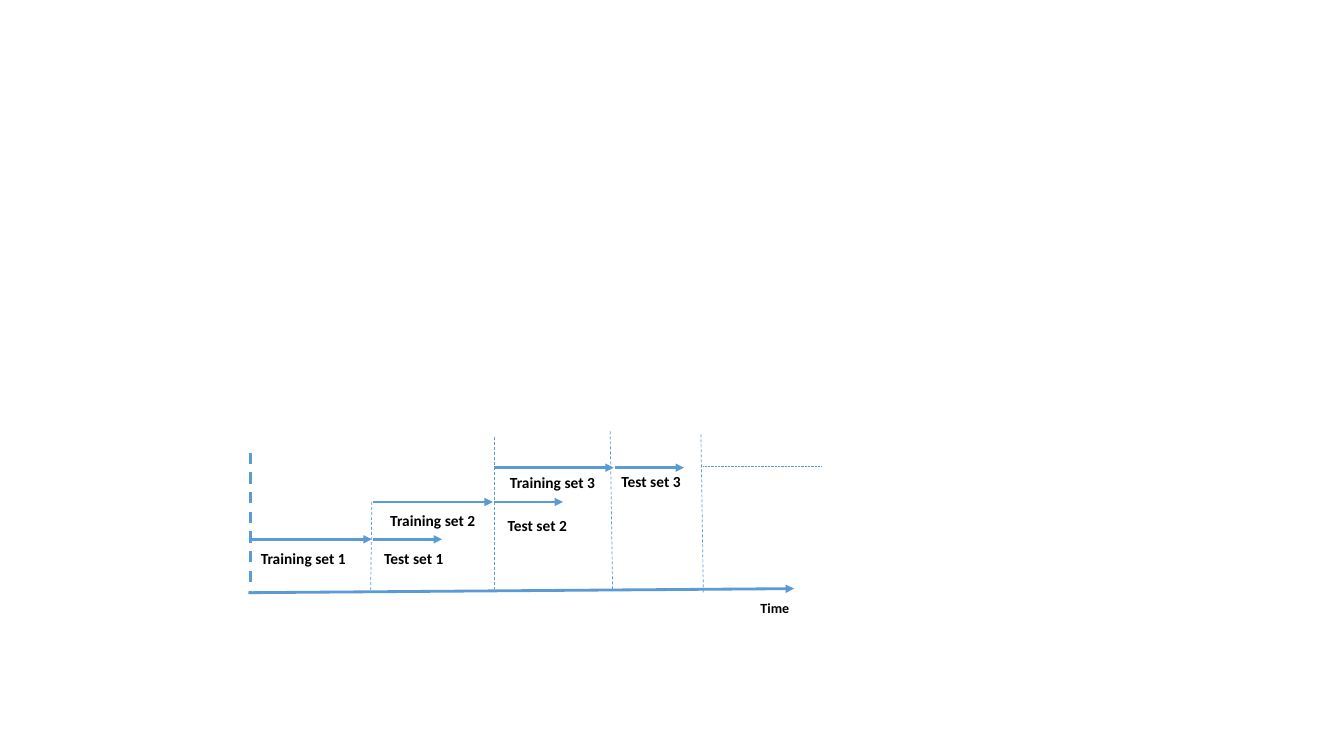
from pptx import Presentation
from pptx.dml.color import RGBColor
from pptx.enum.dml import MSO_LINE
from pptx.enum.shapes import MSO_CONNECTOR
from pptx.enum.text import MSO_AUTO_SIZE
from pptx.oxml.ns import qn
from pptx.util import Inches, Pt
from lxml.etree import SubElement

HUES = {"line": "5B9BD5", "text": "000000"}
FONT = "Calibri"
COL, ROW = 1.2, 0.1  # one training span, one fine row, in inches

# Row of the arrows, then (column, row) shift of each label
FOLDS = [
    (10.7, (-0.01, 0.5), (0.01, 0.5), 0.88),
    (7, (0.06, 0.4), (0.03, 0.9), 0.93),
    (3.6, (0.05, 0), (-0.03, -0.1), 0.88),
]
# Start, end and width of each dashed marker
MARKS = [
    ((-0.01, 2.1), (-0.01, 16), 0),
    ((0.99, 7), (0.98, 16), 0.5),
    ((2, 0.6), (2, 15.6), 0.5),
    ((2.96, 0), (2.98, 15.7), 0.5),
    ((3.71, 0.3), (3.73, 16), 0.5),
]


def place(box, col, row):
    return Inches(box[0] + col * COL), Inches(box[1] + row * ROW)


def draw_line(slide, box, start, end, width=2, dash=None):
    line = slide.shapes.add_connector(
        MSO_CONNECTOR.STRAIGHT, *place(box, *start), *place(box, *end))
    line.line.color.rgb = RGBColor.from_string(HUES["line"])
    line.line.width = Pt(width)
    props = line._element.spPr
    if dash:
        line.line.dash_style = dash
    else:
        SubElement(props.find(qn("a:ln")), qn("a:tailEnd"), type="triangle")
    SubElement(props, qn("a:effectLst"))


def add_label(slide, box, spot, text, width, size=11, height=0.29):
    label = slide.shapes.add_textbox(
        *place(box, *spot), Inches(width), Inches(height))
    frame = label.text_frame
    frame.word_wrap = True
    frame.auto_size = MSO_AUTO_SIZE.SHAPE_TO_FIT_TEXT
    run = frame.paragraphs[0].add_run()
    run.text = text
    run.font.name = FONT
    run.font.size = Pt(size)
    run.font.bold = True
    run.font.color.rgb = RGBColor.from_string(HUES["text"])


def draw_axis(slide, box):
    draw_line(slide, box, (-0.03, 16), (4.48, 15.6))
    add_label(slide, box, (4.12, 16.2), "Time", 0.88, 10, 0.27)


def draw_marks(slide, box):
    for start, end, width in MARKS:
        draw_line(slide, box, start, end, width, MSO_LINE.DASH)
    # Further folds to come
    draw_line(slide, box, (3.73, 3.5), (4.7, 3.5), 0.5, MSO_LINE.ROUND_DOT)


def draw_folds(slide, box):
    for col, (row, train, test, width) in enumerate(FOLDS):
        parts = [("Training", col, 0.99, train, 1.07),
                 ("Test", col + 1, 0.57, test, width)]
        for name, left, span, (dx, dy), wide in parts:
            draw_line(slide, box, (left, row), (left + span, row))
            add_label(slide, box, (left + dx, row + dy),
                      f"{name} set {col + 1}", wide)


def main():
    deck = Presentation()
    deck.slide_width, deck.slide_height = Inches(13.33), Inches(7.5)
    slide = deck.slides.add_slide(deck.slide_layouts[6])
    box = (2.5, 4.28)  # left and top of the time chart
    draw_axis(slide, box)
    draw_marks(slide, box)
    draw_folds(slide, box)
    deck.save("out.pptx")


if __name__ == "__main__":
    main()
